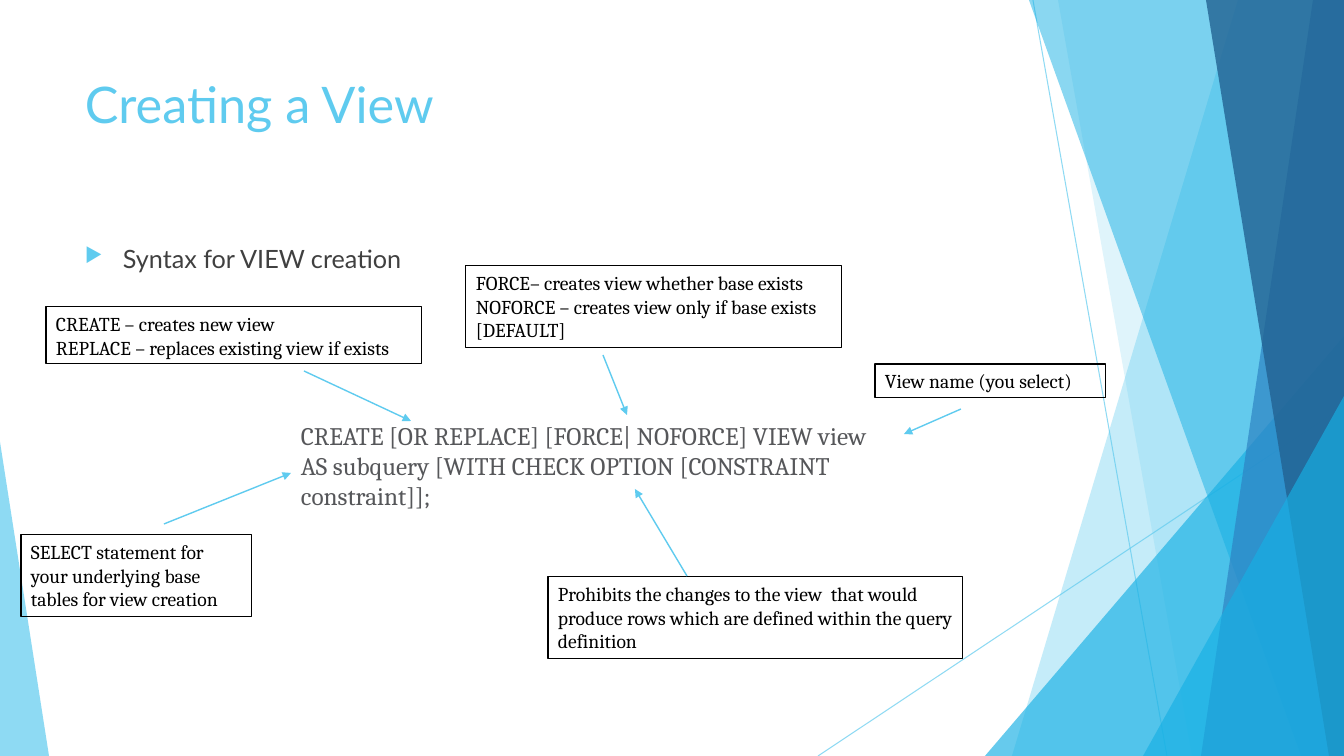
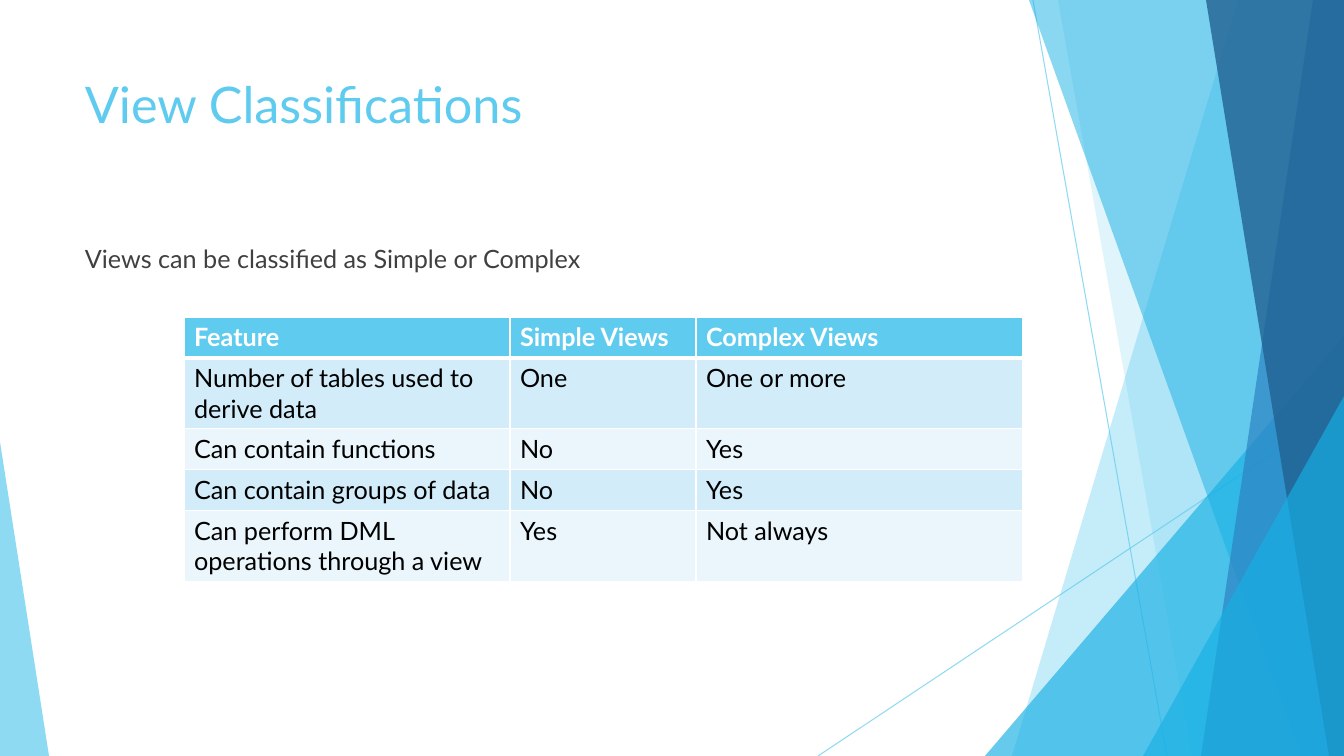
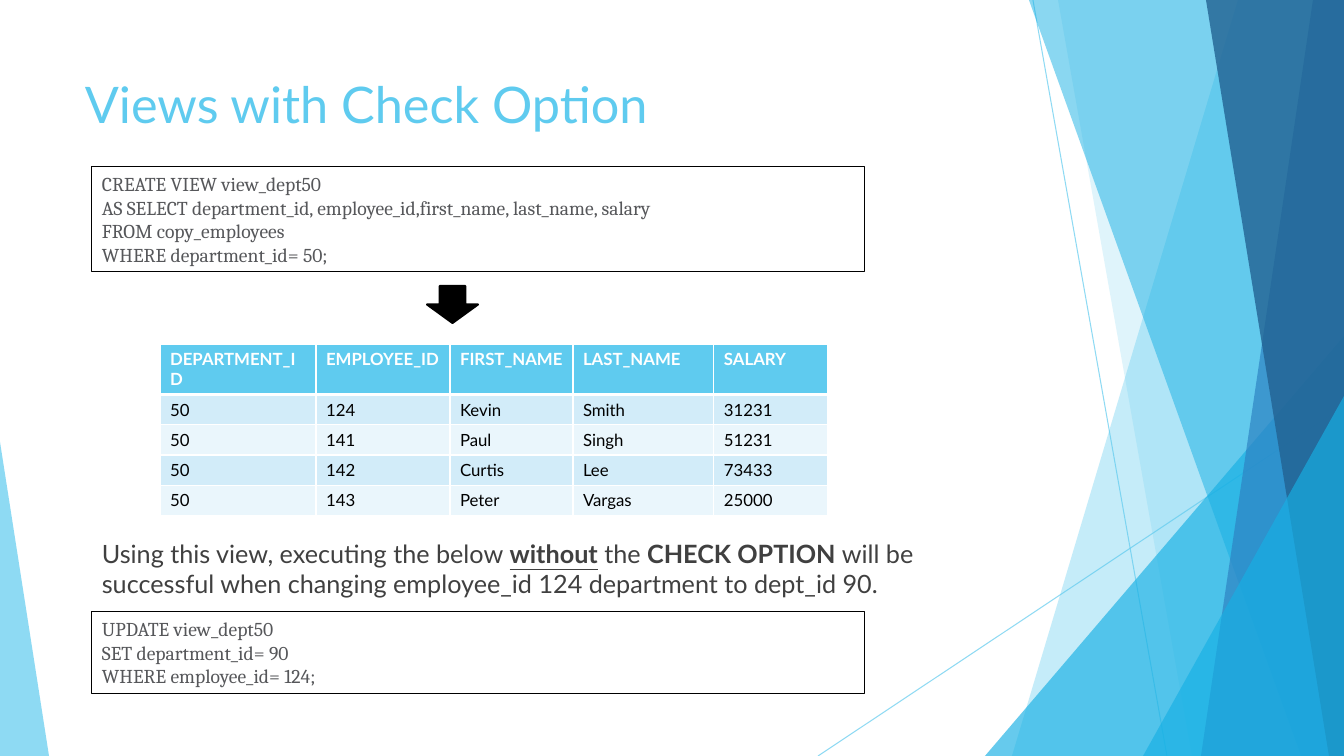
from lxml import etree
from pptx import Presentation
from pptx.dml.color import RGBColor
from pptx.enum import shapes, text
from pptx.oxml import ns
from pptx.util import Pt

WIDTH, HEIGHT = 1344, 756
PX = 12192000 / WIDTH
SKY, AQUA, BLUE, NAVY = "5FCBEF", "17B0E4", "2E83C3", "226292"
BLACK, WHITE, BODY, CODE = "000000", "FFFFFF", "404040", "56575A"
BAND_ROWS = ["D2ECF9", "EAF6FC"]
SANS, SERIF = "Lato", "Cambria"


def paint(fill, colour, opacity=100):
    fill.solid()
    fill.fore_color.rgb = RGBColor.from_string(colour)
    if opacity < 100:
        tint = fill._xPr.find(ns.qn("a:solidFill"))[0]
        etree.SubElement(tint, ns.qn("a:alpha"), val=str(opacity * 1000))


def write(frame, words, size=18, font=SANS, colour=BODY, bold=False):
    """One paragraph per line; words between ** marks are bold."""
    frame.word_wrap = True
    for number, line in enumerate(words.split("\n")):
        paragraph = frame.add_paragraph() if number else frame.paragraphs[0]
        for part, piece in enumerate(line.split("**")):
            run = paragraph.add_run()
            run.text = piece
            run.font.size = Pt(size)
            run.font.name = font
            run.font.bold = bold or part % 2 == 1
            paint(run.font.fill, colour)


deck = Presentation()
deck.slide_width, deck.slide_height = round(WIDTH * PX), round(HEIGHT * PX)
layout = deck.slide_layouts[6]
for placeholder in list(layout.placeholders):
    layout.shapes.element.remove(placeholder.element)

# Slides and their titles
titles = ["Creating a View", "View Classifications", "Views with Check Option"]
slides = [deck.slides.add_slide(layout) for _ in titles]
syntax, classes, check = slides

# Shared backdrop: drawn once, then moved to the layout
backdrop = []
for ends in [(1033, 0, 1167, HEIGHT), (WIDTH, 406, 818, HEIGHT)]:
    ray = syntax.shapes.add_connector(
        shapes.MSO_CONNECTOR.STRAIGHT, *[round(v * PX) for v in ends])
    ray.line.width = Pt(0.75)
    paint(ray.line.fill, SKY, 70)
    backdrop.append(ray)

# Bands give (top x, bottom x); triangles give (left, top, width, apex)
facets = [
    (SKY, 36, (1238, 1012)),
    (SKY, 20, (1058, 1192)),
    (AQUA, 66, (985, 336, 359, 1)),
    (AQUA, 50, (1029, 1301)),
    (BLUE, 70, (1313, 1201)),
    (NAVY, 80, (1206, 1329)),
    (AQUA, 66, (1143, 396, 201, 1)),
    (SKY, 70, (0, 442, 49, 0)),
]
for colour, opacity, outline in facets:
    if len(outline) == 2:
        upper, lower = outline
        pen = syntax.shapes.build_freeform(upper, 0, scale=PX)
        pen.add_line_segments([(WIDTH, 0), (WIDTH, HEIGHT), (lower, HEIGHT)])
        facet = pen.convert_to_shape()
    else:
        left, top, width, apex = outline
        facet = syntax.shapes.add_shape(
            shapes.MSO_SHAPE.ISOSCELES_TRIANGLE,
            *[round(v * PX) for v in (left, top, width, HEIGHT - top)])
        facet.adjustments[0] = apex
    facet.shadow.inherit = False
    facet.line.fill.background()
    paint(facet.fill, colour, opacity)
    backdrop.append(facet)
for piece in backdrop:
    layout.shapes.element.append(piece.element)

# Text: slide, box, words, format, framed or not
heading = dict(size=36, colour=SKY)
note = dict(size=14, font=SERIF, colour=BLACK)
code = dict(size=14, font=SERIF, colour=CODE)
passages = [(slide, (75, 68, 948, 145), title, heading, False)
            for slide, title in zip(slides, titles)]
passages += [
    (syntax, (75, 238, 948, 60), "Syntax for VIEW creation", {}, False),
    (syntax, (291, 415, 672, 102),
     "CREATE [OR REPLACE] [FORCE| NOFORCE] VIEW view\n"
     "AS subquery [WITH CHECK OPTION [CONSTRAINT constraint]];",
     dict(font=SERIF, colour=CODE), False),
    (syntax, (46, 307, 376, 57),
     "CREATE – creates new view\nREPLACE – replaces existing view if exists",
     note, True),
    (syntax, (466, 266, 376, 82),
     "FORCE– creates view whether base exists\n"
     "NOFORCE – creates view only if base exists [DEFAULT]", note, True),
    (syntax, (875, 364, 231, 34), "View name (you select)", note, True),
    (syntax, (21, 535, 231, 82),
     "SELECT statement for your underlying base tables for view creation",
     note, True),
    (syntax, (548, 577, 415, 82),
     "Prohibits the changes to the view  that would produce rows "
     "which are defined within the query definition", note, True),
    (classes, (75, 238, 948, 70),
     "Views can be classified as Simple or Complex", {}, False),
    (check, (92, 533, 948, 70),
     "Using this view, executing the below **without** the **CHECK OPTION **"
     "will be successful when changing employee_id 124 department "
     "to dept_id 90.", {}, False),
    (check, (92, 167, 773, 105),
     "CREATE VIEW view_dept50\n"
     "AS SELECT department_id, employee_id,first_name, last_name, salary\n"
     "FROM copy_employees\nWHERE department_id= 50;", code, True),
    (check, (92, 612, 773, 82),
     "UPDATE view_dept50\nSET department_id= 90\nWHERE employee_id= 124;",
     code, True),
]
for slide, place, words, style, framed in passages:
    box = slide.shapes.add_textbox(*[round(v * PX) for v in place])
    write(box.text_frame, words, **style)
    if framed:
        box.text_frame.auto_size = text.MSO_AUTO_SIZE.SHAPE_TO_FIT_TEXT
        box.line.width = Pt(0.75)
        paint(box.line.fill, BLACK)
    first = box.text_frame.paragraphs[0]
    if words.startswith("Syntax"):
        indent = first._p.get_or_add_pPr()
        indent.set("marL", str(round(38 * PX)))
        indent.set("indent", str(round(-38 * PX)))
        bullet_colour = etree.SubElement(indent, ns.qn("a:buClr"))
        etree.SubElement(bullet_colour, ns.qn("a:srgbClr"), val=SKY)
        etree.SubElement(indent, ns.qn("a:buSzPct"), val="80000")
        etree.SubElement(indent, ns.qn("a:buChar"), char="▶")
    elif words.startswith("Using"):
        first.runs[1].font.underline = True

# Arrows from the notes to the syntax
for ends in [(304, 371, 411, 421), (603, 355, 627, 415), (961, 409, 904, 434),
             (687, 576, 635, 489), (164, 524, 291, 473)]:
    pointer = syntax.shapes.add_connector(
        shapes.MSO_CONNECTOR.STRAIGHT, *[round(v * PX) for v in ends])
    pointer.line.width = Pt(1)
    paint(pointer.line.fill, SKY)
    etree.SubElement(pointer.line._ln, ns.qn("a:tailEnd"), type="triangle")

# Tables: slide, left, top, column widths, row height, text size, rows
tables = [
    (classes, 184, 317, [326, 186, 327], 41, 18, [
        ["Feature", "Simple Views", "Complex Views"],
        ["Number of tables used to derive data", "One", "One or more"],
        ["Can contain functions", "No", "Yes"],
        ["Can contain groups of data", "No", "Yes"],
        ["Can perform DML operations through a view", "Yes", "Not always"],
    ]),
    (check, 160, 344, [156, 134, 123, 141, 114], 30, 12, [
        ["DEPARTMENT_ID", "EMPLOYEE_ID", "FIRST_NAME", "LAST_NAME", "SALARY"],
        ["50", "124", "Kevin", "Smith", "31231"],
        ["50", "141", "Paul", "Singh", "51231"],
        ["50", "142", "Curtis", "Lee", "73433"],
        ["50", "143", "Peter", "Vargas", "25000"],
    ]),
]
for slide, left, top, widths, row_height, size, rows in tables:
    place = (left, top, sum(widths), row_height * len(rows))
    grid = slide.shapes.add_table(
        len(rows), len(widths), *[round(v * PX) for v in place]).table
    for column, width in zip(grid.columns, widths):
        column.width = round(width * PX)
    for r, row in enumerate(rows):
        for c, words in enumerate(row):
            cell = grid.cell(r, c)
            paint(cell.fill, BAND_ROWS[(r - 1) % 2] if r else SKY)
            write(cell.text_frame, words, size=size,
                  colour=BLACK if r else WHITE, bold=r == 0)
            # White rules, heavier between header and body
            props = cell._tc.get_or_add_tcPr()
            for n, side in enumerate(["lnL", "lnR", "lnT", "lnB"]):
                heavy = (r, side) in [(0, "lnB"), (1, "lnT")]
                rule = etree.Element(ns.qn("a:" + side),
                                     w=str(Pt(3 if heavy else 1)))
                ink = etree.SubElement(rule, ns.qn("a:solidFill"))
                etree.SubElement(ink, ns.qn("a:srgbClr"), val=WHITE)
                props.insert(n, rule)

# Arrow from the query to its result
down = check.shapes.add_shape(
    shapes.MSO_SHAPE.DOWN_ARROW, *[round(v * PX) for v in (427, 286, 51, 37)])
down.shadow.inherit = False
down.line.width = Pt(1.5)
paint(down.fill, BLACK)
paint(down.line.fill, BLACK)

# Connectors carry no shadow
for page in [layout, *slides]:
    for shape in page.shapes:
        if shape.shape_type == shapes.MSO_SHAPE_TYPE.LINE:
            etree.SubElement(shape.element.spPr, ns.qn("a:effectLst"))

deck.save("out.pptx")
